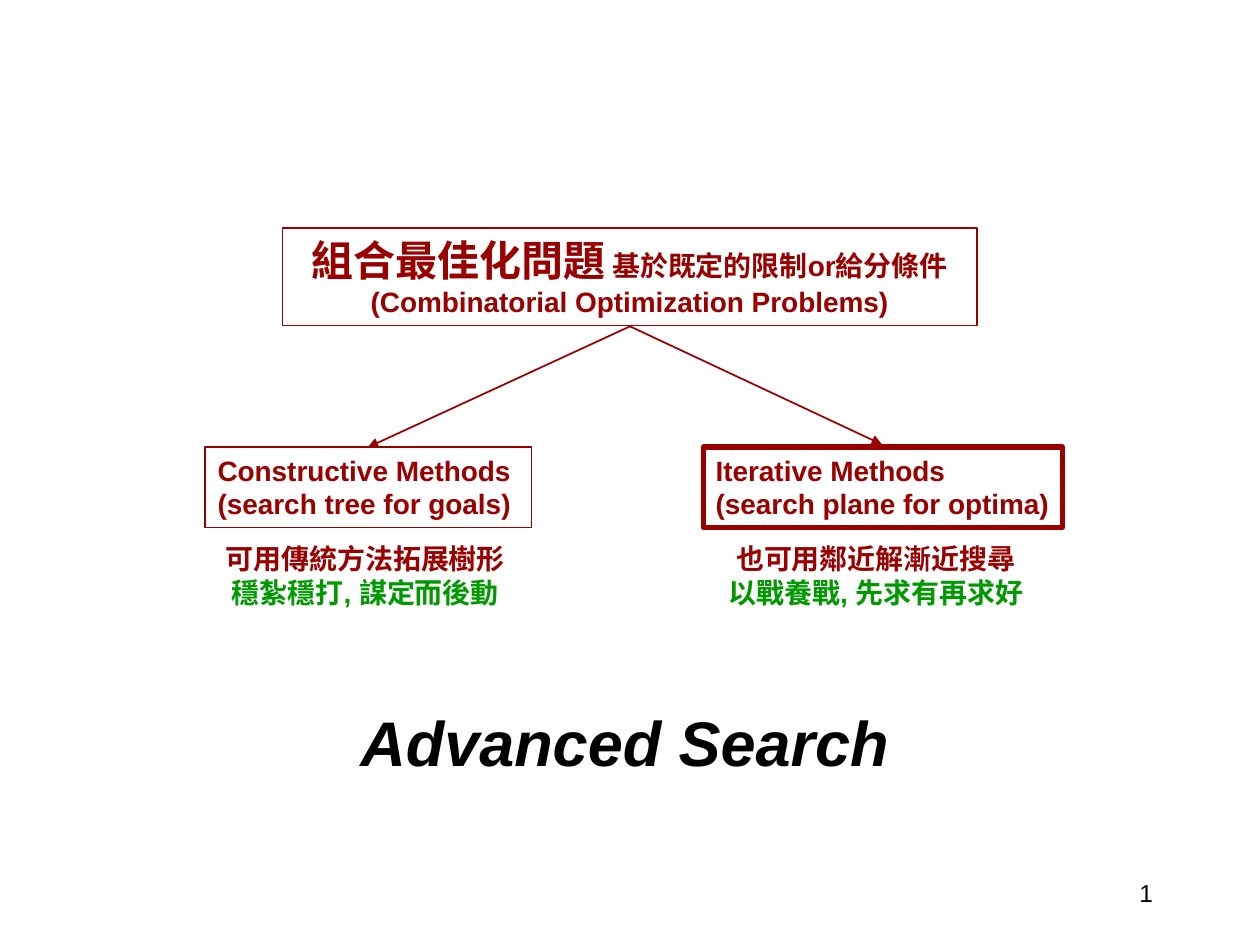
import pptx
import pptx.dml.color
import pptx.enum.shapes
import pptx.enum.text
import pptx.oxml.ns
import pptx.util
from lxml import etree

Pt = pptx.util.Pt
RED = pptx.dml.color.RGBColor(0x99, 0x00, 0x00)
GREEN = pptx.dml.color.RGBColor(0x00, 0x99, 0x00)
BLACK = pptx.dml.color.RGBColor(0x00, 0x00, 0x00)
ALIGN = pptx.enum.text.PP_ALIGN
ANCHOR = pptx.enum.text.MSO_ANCHOR
FIT = pptx.enum.text.MSO_AUTO_SIZE
SHAPES = pptx.enum.shapes.MSO_SHAPE
CONNECTORS = pptx.enum.shapes.MSO_CONNECTOR

LABEL = {"size": Pt(16), "bold": True, "color": RED}
HEADLINE = LABEL | {"size": Pt(24)}
MOTTO = LABEL | {"color": GREEN}
TITLE = {"size": Pt(36), "bold": True, "italic": True, "color": BLACK}
NUMBER = {"size": Pt(14), "color": BLACK}

FRAME = {
    "margin_left": Pt(7.2), "margin_right": Pt(7.2),
    "margin_top": Pt(3.6), "margin_bottom": Pt(3.6),
    "vertical_anchor": ANCHOR.TOP, "word_wrap": False,
    "auto_size": FIT.SHAPE_TO_FIT_TEXT,
}


def apply(target, values):
    for name, value in values.items():
        setattr(target, name, value)


def write(shape, paragraphs, align, **frame):
    """Fill a shape with paragraphs, each a list of (text, format) spans."""
    text = shape.text_frame
    apply(text, FRAME | frame)
    for index, spans in enumerate(paragraphs):
        para = text.paragraphs[0] if index == 0 else text.add_paragraph()
        apply(para, {"alignment": align, "space_before": Pt(0)})
        for words, look in spans:
            span = para.add_run()
            span.text = words
            span.font.name = "Arial"
            span.font.color.rgb = look["color"]
            apply(span.font, {k: v for k, v in look.items() if k != "color"})


def add_node(page, box, paragraphs, align, weight=1, **frame):
    node = page.shapes.add_shape(SHAPES.RECTANGLE, *map(Pt, box))
    node.shadow.inherit = False
    node.fill.background()
    node.line.color.rgb = RED
    node.line.width = Pt(weight)
    write(node, paragraphs, align, **frame)


def add_arrow(page, start, end):
    arrow = page.shapes.add_connector(CONNECTORS.STRAIGHT, *map(Pt, start + end))
    arrow.line.color.rgb = RED
    arrow.line.width = Pt(1)
    qn = pptx.oxml.ns.qn
    etree.SubElement(arrow.line._get_or_add_ln(), qn("a:tailEnd"), type="triangle")
    etree.SubElement(arrow._element.spPr, qn("a:effectLst"))


def add_text(page, box, paragraphs, align, **frame):
    write(page.shapes.add_textbox(*map(Pt, box)), paragraphs, align, **frame)


def add_title(page, box):
    body = page.placeholders[1]
    apply(body, dict(zip(("left", "top", "width", "height"), map(Pt, box))))
    write(body, [[("Advanced Search", TITLE)]], ALIGN.CENTER,
          word_wrap=True, auto_size=FIT.NONE, margin_top=Pt(60))
    props = body.text_frame.paragraphs[0]._p.get_or_add_pPr()
    apply_indent = {"marL": "0", "indent": "0"}
    for name, value in apply_indent.items():
        props.set(name, value)
    etree.SubElement(props, pptx.oxml.ns.qn("a:buNone"))


def add_problem(page, box):
    add_node(page, box, [
        [("組合最佳化問題", HEADLINE), (" 基於既定的限制or給分條件", LABEL)],
        [("(Combinatorial Optimization Problems)", LABEL)],
    ], ALIGN.CENTER, word_wrap=True)


def add_method(page, box, weight, names, note_box, notes):
    """Place a method node and the two-line remark below it."""
    add_node(page, box, [[(name, LABEL)] for name in names], ALIGN.LEFT, weight)
    add_text(page, note_box, [[(notes[0], LABEL)], [(notes[1], MOTTO)]],
             ALIGN.CENTER)


def main():
    deck = pptx.Presentation()
    deck.slide_width, deck.slide_height = Pt(720), Pt(540)
    page = deck.slides.add_slide(deck.slide_layouts[1])
    heading = page.shapes.title._element
    heading.getparent().remove(heading)

    add_title(page, (48, 342, 618, 190.8))
    add_problem(page, (161.5, 130.5, 396.7, 55.5))
    add_method(page, (117.2, 255.5, 186.5, 46), 1,
               ("Constructive Methods", "(search tree for goals)"),
               (121.7, 306, 174.2, 46),
               ("可用傳統方法拓展樹形", "穩紮穩打, 謀定而後動"))
    add_method(page, (401.8, 255.5, 205.2, 46), 3,
               ("Iterative Methods", "(search plane for optima)"),
               (405.4, 306, 190, 46),
               ("也可用鄰近解漸近搜尋", "以戰養戰, 先求有再求好"))
    for end in ((210.2, 255.6), (504, 254)):
        add_arrow(page, (360, 186.5), end)
    add_text(page, (618, 492, 48, 36), [[("1", NUMBER)]], ALIGN.RIGHT,
             vertical_anchor=ANCHOR.MIDDLE, word_wrap=True, auto_size=FIT.NONE)
    deck.save("out.pptx")


if __name__ == "__main__":
    main()
